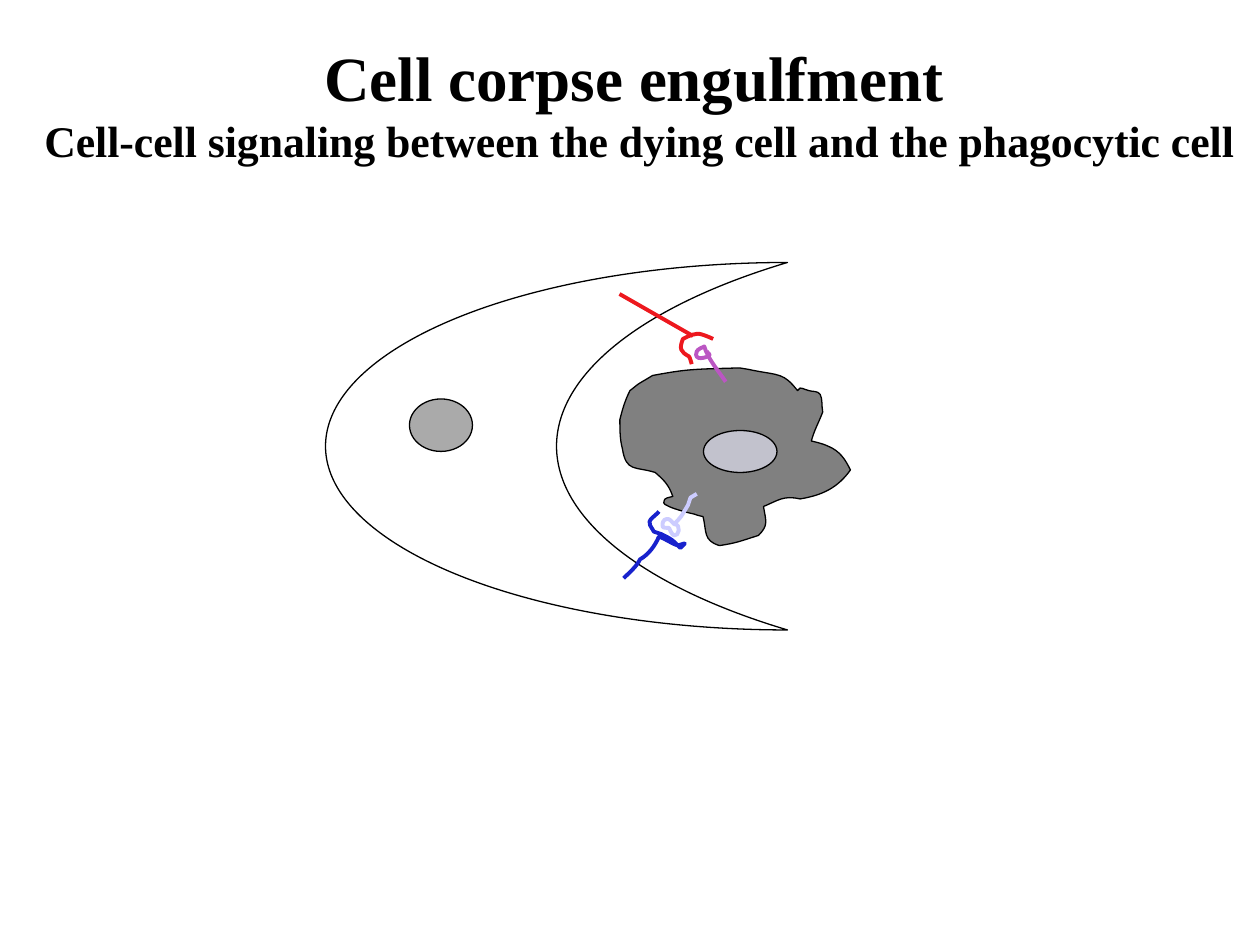
import dataclasses
import typing

import pptx
import pptx.dml.color
import pptx.enum.shapes
import pptx.enum.text
import pptx.oxml.ns
import pptx.util
from lxml import etree

Shape = pptx.enum.shapes.MSO_SHAPE
Point = tuple[int, int]


@dataclasses.dataclass(frozen=True)
class Theme:
    font: str = "Times New Roman"
    title_size: float = 36
    title_end_size: float = 24
    subtitle_size: float = 25
    outline: float = 0.75
    strand: float = 2.25
    ink: str = "000000"
    phagocyte: str = "FFFFFF"
    phagocyte_nucleus: str = "AAAAAA"
    corpse: str = "808080"
    corpse_nucleus: str = "C2C2CD"
    red_receptor: str = "ED181E"
    purple_ligand: str = "BB56C3"
    blue_receptor: str = "1822CD"
    pale_ligand: str = "CCCCFF"


THEME = Theme()
COLUMN = pptx.util.Inches(1 / 12)  # the slide is 120 columns by 90 rows
FINE = pptx.util.Inches(0.01)  # hand-drawn outlines use a 1000 by 750 grid


@dataclasses.dataclass(frozen=True)
class CellPart:
    kind: Shape
    left: float
    top: float
    columns: float
    rows: float
    fill: str


@dataclasses.dataclass(frozen=True)
class Strand:
    """A chain of cubic curves: a start, then two controls and an end for each."""
    points: tuple[Point, ...]
    colour: str


PHAGOCYTE = (
    CellPart(Shape.MOON, 31, 25, 44, 35, THEME.phagocyte),
    CellPart(Shape.OVAL, 39, 38, 6, 5, THEME.phagocyte_nucleus),
)
CORPSE_NUCLEUS = CellPart(Shape.OVAL, 67, 41, 7, 4, THEME.corpse_nucleus)

CORPSE_OUTLINE = (
    (633, 310), (622, 296), (619, 298), (598, 294), (594, 293), (587, 292), (587, 292),
    (549, 293), (545, 293), (518, 298), (503, 307), (509, 303), (500, 310),
    (496, 318), (494, 325), (492, 333), (492, 341), (492, 349), (494, 356),
    (497, 375), (504, 370), (520, 375), (527, 381), (531, 385), (534, 394),
    (531, 395), (527, 395), (527, 398), (526, 400), (529, 401), (531, 402),
    (535, 404), (546, 407), (551, 408), (553, 409), (558, 410), (558, 410),
    (561, 422), (558, 429), (571, 433), (585, 431), (589, 429), (602, 425),
    (610, 417), (608, 414), (606, 402), (618, 397), (622, 393), (635, 396),
    (653, 393), (665, 387), (675, 373), (671, 365), (667, 358), (657, 354),
    (653, 352), (644, 350), (644, 350), (646, 342), (650, 335), (653, 327),
    (652, 322), (653, 317), (651, 313), (649, 310), (645, 311), (642, 310),
    (640, 310), (638, 308), (635, 308), (634, 308), (634, 310), (633, 310),
)
UPPER_SIGNAL = (
    Strand(((576, 303), (570, 294), (562, 285), (559, 275),
            (557, 276), (554, 277), (553, 279), (550, 287), (561, 284), (563, 282),
            (564, 281), (561, 280), (561, 279)), THEME.purple_ligand),
    Strand(((566, 269), (564, 268), (555, 264), (553, 265),
            (549, 265), (542, 269), (542, 269), (539, 277), (540, 279), (547, 283),
            (548, 285), (549, 289), (549, 289)), THEME.red_receptor),
)
LOWER_SIGNAL = (
    Strand(((553, 392), (552, 393), (549, 394), (548, 395),
            (547, 397), (547, 399), (546, 401), (540, 411), (541, 410), (535, 416),
            (533, 414), (531, 411), (529, 412), (527, 412), (525, 415), (526, 418),
            (526, 419), (529, 419), (531, 419), (532, 421), (533, 424), (535, 425),
            (539, 426), (541, 416), (535, 416)), THEME.pale_ligand),
    Strand(((523, 406), (521, 409), (513, 413), (516, 417),
            (517, 418), (518, 421), (519, 422), (521, 423), (523, 423), (525, 424),
            (535, 429), (534, 429), (540, 435), (545, 430), (545, 431), (538, 433),
            (532, 431), (529, 428), (523, 426), (520, 433), (515, 440), (508, 444),
            (505, 450), (500, 454), (495, 459)), THEME.blue_receptor),
)


def rgb(colour: str) -> pptx.dml.color.RGBColor:
    return pptx.dml.color.RGBColor.from_string(colour)


def style(shape: typing.Any, fill: str | None, line: str, width: float) -> None:
    shape.shadow.inherit = False
    if fill is None:
        shape.fill.background()
    else:
        shape.fill.solid()
        shape.fill.fore_color.rgb = rgb(fill)
    shape.line.color.rgb = rgb(line)
    shape.line.width = pptx.util.Pt(width)


def draw_curves(shapes: typing.Any, points: tuple[Point, ...], closed: bool) -> typing.Any:
    """Build a freeform and join each three of its segments into one cubic curve."""
    pen = shapes.build_freeform(*points[0], scale=float(FINE))
    pen.add_line_segments(points[1:], close=closed)
    outline = pen.convert_to_shape()
    segments = list(outline.element.iter(pptx.oxml.ns.qn("a:lnTo")))
    for first in range(0, len(segments), 3):
        curve = etree.Element(pptx.oxml.ns.qn("a:cubicBezTo"))
        segments[first].addprevious(curve)
        for segment in segments[first:first + 3]:
            curve.append(segment[0])
            segment.getparent().remove(segment)
    return outline


def draw_part(shapes: typing.Any, part: CellPart) -> None:
    box = (round(n * COLUMN) for n in (part.left, part.top, part.columns, part.rows))
    style(shapes.add_shape(part.kind, *box), part.fill, THEME.ink, THEME.outline)


def draw_signal(shapes: typing.Any, strands: tuple[Strand, ...]) -> typing.Any:
    """Draw a ligand and its receptor as one group."""
    signal = shapes.add_group_shape()
    for strand in strands:
        style(draw_curves(signal.shapes, strand.points, False),
              None, strand.colour, THEME.strand)
    return signal


def draw_stem(shapes: typing.Any, start: Point, end: Point, colour: str) -> None:
    stem = shapes.add_connector(pptx.enum.shapes.MSO_CONNECTOR.STRAIGHT,
                                *(round(n * COLUMN) for n in (*start, *end)))
    stem.line.color.rgb = rgb(colour)
    stem.line.width = pptx.util.Pt(THEME.strand)
    etree.SubElement(stem.element.spPr, pptx.oxml.ns.qn("a:effectLst"))


def write_heading(title: typing.Any, heading: str, subheading: str) -> None:
    title.left, title.top = pptx.util.Inches(0.16), pptx.util.Inches(0.25)
    title.width, title.height = pptx.util.Inches(9.83), pptx.util.Inches(1.12)
    frame = title.text_frame
    frame.word_wrap = True
    frame.auto_size = pptx.enum.text.MSO_AUTO_SIZE.NONE
    frame.vertical_anchor = pptx.enum.text.MSO_ANCHOR.BOTTOM
    frame.text = f"{heading}\n{subheading}"
    frame.paragraphs[0].add_run().text = " "
    sizes = ((THEME.title_size, THEME.title_end_size), (THEME.subtitle_size,))
    for paragraph, run_sizes in zip(frame.paragraphs, sizes):
        paragraph.alignment = pptx.enum.text.PP_ALIGN.CENTER
        for run, size in zip(paragraph.runs, run_sizes):
            run.font.name = THEME.font
            run.font.size = pptx.util.Pt(size)
            run.font.bold = True
            run.font.color.rgb = rgb(THEME.ink)


def main() -> None:
    deck = pptx.Presentation()
    deck.slide_width, deck.slide_height = 120 * COLUMN, 90 * COLUMN
    slide = deck.slides.add_slide(deck.slide_layouts[5])
    shapes = slide.shapes
    write_heading(shapes.title, "Cell corpse engulfment",
                  "Cell-cell signaling between the dying cell and the phagocytic cell")
    for part in PHAGOCYTE:
        draw_part(shapes, part)
    style(draw_curves(shapes, CORPSE_OUTLINE, True), THEME.corpse, THEME.ink, THEME.outline)
    draw_part(shapes, CORPSE_NUCLEUS)
    upper = draw_signal(shapes, UPPER_SIGNAL)
    draw_stem(upper.shapes, (59, 28), (66, 32), THEME.red_receptor)
    draw_signal(shapes, LOWER_SIGNAL)
    deck.save("out.pptx")


if __name__ == "__main__":
    main()
